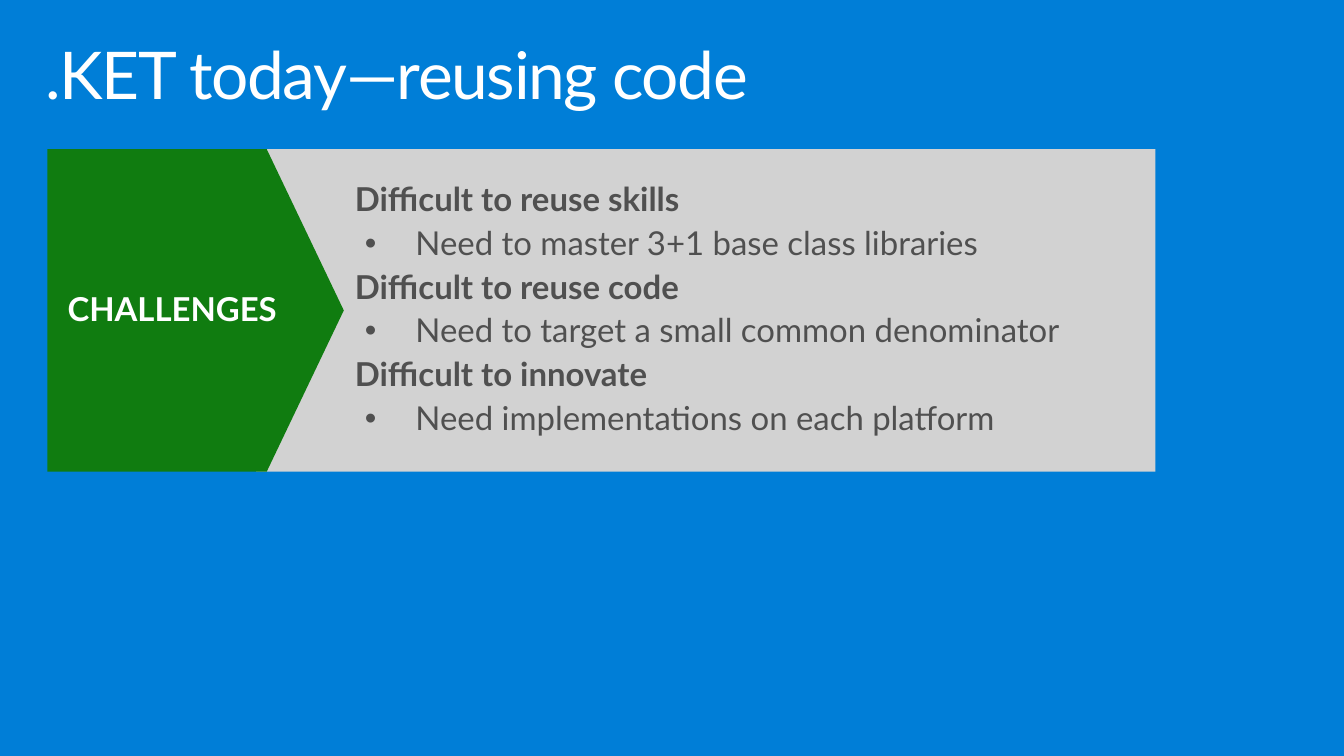
"""Builds the slide on the challenges of reusing code in .KET."""
from pptx import Presentation
from pptx.dml.color import RGBColor
from pptx.enum.shapes import MSO_SHAPE
from pptx.enum.text import MSO_ANCHOR, MSO_AUTO_SIZE, PP_ALIGN
from pptx.oxml.ns import qn
from pptx.util import Inches, Pt
from lxml.etree import SubElement

TITLE = ".KET today—reusing code"
LABEL = "CHALLENGES"
CHALLENGES = [
    ("Difficult to reuse skills", "Need to master 3+1 base class libraries"),
    ("Difficult to reuse code", "Need to target a small common denominator"),
    ("Difficult to innovate", "Need implementations on each platform"),
]
COLORS = {"back": "007ED7", "panel": "D2D2D2", "arrow": "107C10",
          "text": "505050", "white": "FFFFFF"}
FONT = "Lato"
BODY_SIZE = 23.5
TOP, HEIGHT = 1.48, 3.2


def rgb(name):
    return RGBColor.from_string(COLORS[name])


def set_frame(tf, left, top, right, anchor):
    tf.margin_left, tf.margin_right = Inches(left), Inches(right)
    tf.margin_top = tf.margin_bottom = Inches(top)
    tf.vertical_anchor = anchor
    tf.word_wrap = True
    tf.auto_size = MSO_AUTO_SIZE.NONE


def write(p, text, size, color, bold=False):
    p.text = text
    p.alignment = PP_ALIGN.LEFT
    p.line_spacing = 0.9
    f = p.runs[0].font
    f.name, f.size, f.bold = FONT, Pt(size), bold
    f.color.rgb = rgb(color)


def add_bullet(p):
    pPr = p._p.get_or_add_pPr()
    pPr.set("marL", str(Inches(0.6)))
    pPr.set("indent", str(Inches(-0.5)))
    SubElement(pPr, qn("a:buFont")).set("typeface", "Arial")
    SubElement(pPr, qn("a:buChar")).set("char", "•")


def add_block(slide, kind, left, width, color):
    sp = slide.shapes.add_shape(kind, Inches(left), Inches(TOP), Inches(width), Inches(HEIGHT))
    sp.shadow.inherit = False
    sp.fill.solid()
    sp.fill.fore_color.rgb = rgb(color)
    sp.line.fill.background()
    return sp


def main():
    prs = Presentation()
    prs.slide_width, prs.slide_height = Inches(13.33), Inches(7.5)
    slide = prs.slides.add_slide(prs.slide_layouts[5])
    slide.background.fill.solid()
    slide.background.fill.fore_color.rgb = rgb("back")

    title = slide.shapes.title
    title.left, title.top = Inches(0.29), Inches(0.32)
    title.width, title.height = Inches(12.74), Inches(0.98)
    set_frame(title.text_frame, 0.16, 0.1, 0.16, MSO_ANCHOR.TOP)
    p = title.text_frame.paragraphs[0]
    write(p, TITLE, 47, "white")
    p.runs[0]._r.get_or_add_rPr().set("spc", "-100")

    panel = add_block(slide, MSO_SHAPE.RECTANGLE, 2.54, 8.92, "panel")
    tf = panel.text_frame
    set_frame(tf, 0.98, 0.16, 0.2, MSO_ANCHOR.MIDDLE)
    lines = [(text, i == 0) for pair in CHALLENGES for i, text in enumerate(pair)]
    for i, (text, heading) in enumerate(lines):
        p = tf.add_paragraph() if i else tf.paragraphs[0]
        if not heading:
            add_bullet(p)
        write(p, text, BODY_SIZE, "text", heading)
        if i:
            p.space_before = Pt(5.9)

    arrow = add_block(slide, MSO_SHAPE.PENTAGON, 0.47, 2.94, "arrow")
    arrow.adjustments[0] = 0.26
    set_frame(arrow.text_frame, 0.2, 0.16, 0.2, MSO_ANCHOR.MIDDLE)
    write(arrow.text_frame.paragraphs[0], LABEL, BODY_SIZE, "white", True)

    prs.save("out.pptx")


if __name__ == "__main__":
    main()
